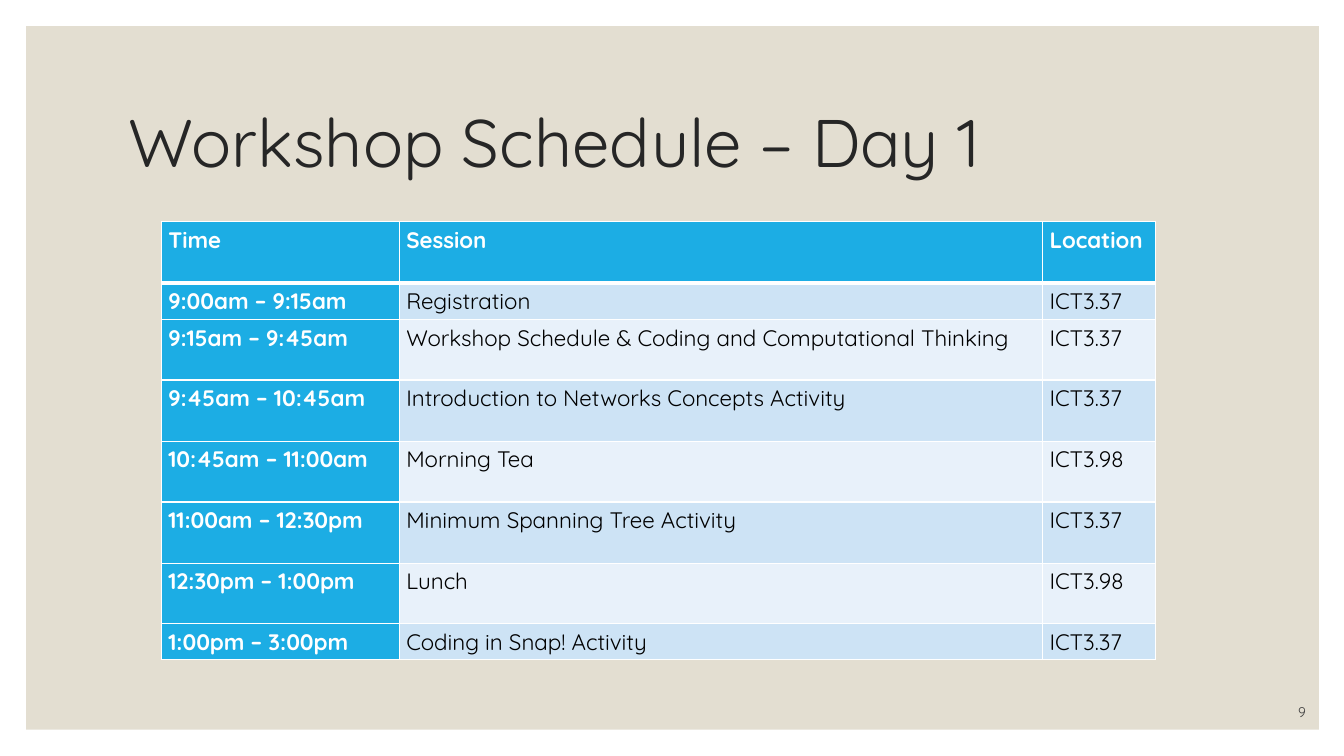
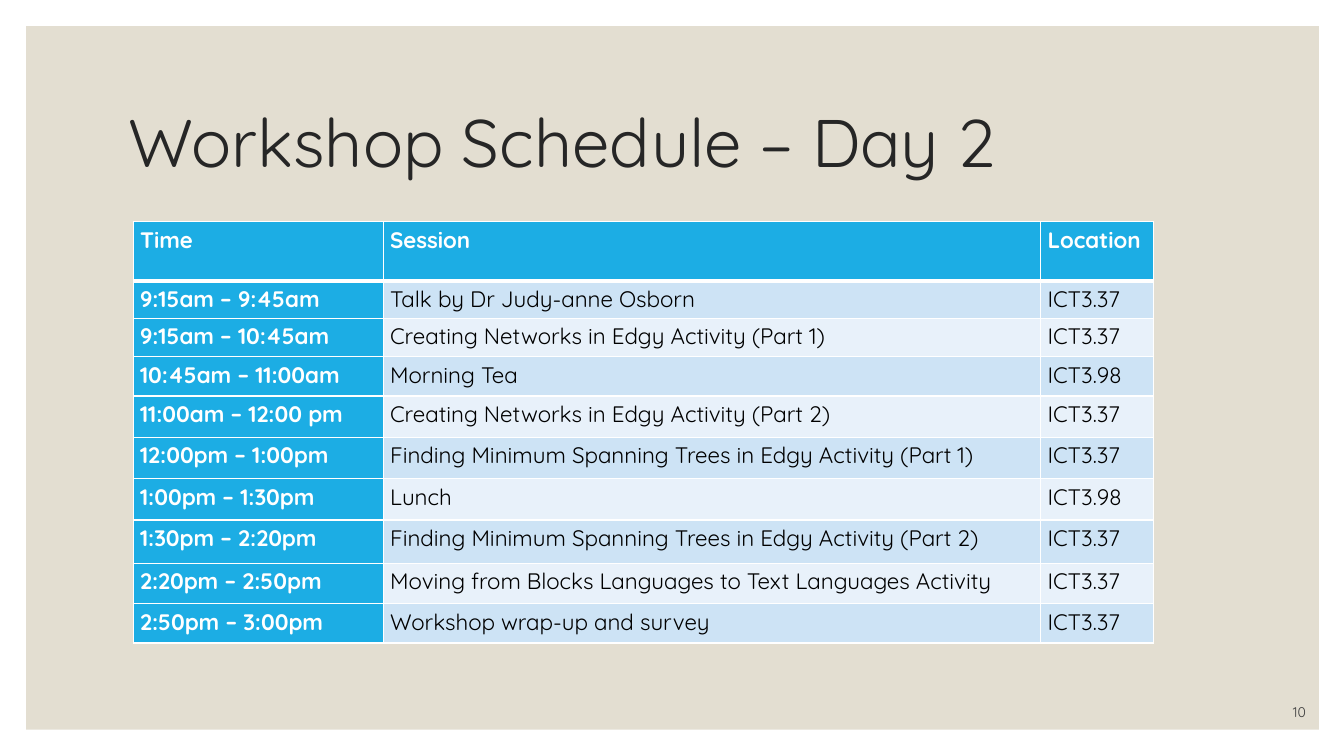
from lxml import etree
from pptx import Presentation
from pptx import util as u
from pptx.dml import color
from pptx.enum import shapes, text
from pptx.oxml import ns

PX = 9144  # EMU per px, 100 px to the inch
FONT = "Quicksand"
WHITE, BLACK = "FFFFFF", "000000"
SAND, TITLE_INK, NUMBER_INK = "E3DED1", "262626", "404040"
ACCENT = "1CADE4"
BANDS = ("CDE3F5", "E8F1FA")

TABLE_TOP = 220
LOCATION_WIDTH = 112
HEADINGS = ("Time", "Session", "Location")
CLASSROOM, BREAK_ROOM = "ICT3.37", "ICT3.98"

DAY_1 = [
    ("9:00am – 9:15am", "Registration", CLASSROOM),
    ("9:15am – 9:45am", "Workshop Schedule & Coding and Computational Thinking", CLASSROOM),
    ("9:45am – 10:45am", "Introduction to Networks Concepts Activity", CLASSROOM),
    ("10:45am – 11:00am", "Morning Tea", BREAK_ROOM),
    ("11:00am – 12:30pm", "Minimum Spanning Tree Activity", CLASSROOM),
    ("12:30pm – 1:00pm", "Lunch", BREAK_ROOM),
    ("1:00pm – 3:00pm", "Coding in Snap! Activity", CLASSROOM),
]
DAY_2 = [
    ("9:15am – 9:45am", "Talk by Dr Judy-anne Osborn", CLASSROOM),
    ("9:15am – 10:45am", "Creating Networks in Edgy Activity (Part 1)", CLASSROOM),
    ("10:45am – 11:00am", "Morning Tea", BREAK_ROOM),
    ("11:00am – 12:00 pm", "Creating Networks in Edgy Activity (Part 2)", CLASSROOM),
    ("12:00pm – 1:00pm", "Finding Minimum Spanning Trees in Edgy Activity (Part 1)", CLASSROOM),
    ("1:00pm – 1:30pm", "Lunch", BREAK_ROOM),
    ("1:30pm – 2:20pm", "Finding Minimum Spanning Trees in Edgy Activity (Part 2)", CLASSROOM),
    ("2:20pm – 2:50pm", "Moving from Blocks Languages to Text Languages Activity", CLASSROOM),
    ("2:50pm – 3:00pm", "Workshop wrap-up and survey", CLASSROOM),
]


def px(*lengths):
    return [u.Emu(length * PX) for length in lengths]


def set_fill(fill, hex_color):
    fill.solid()
    fill.fore_color.rgb = color.RGBColor.from_string(hex_color)


def set_text(frame, content, size, hex_color, bold=False, spacing=1.0,
             align=text.PP_ALIGN.LEFT):
    frame.text = content
    paragraph = frame.paragraphs[0]
    paragraph.alignment = align
    paragraph.line_spacing = spacing
    font = paragraph.runs[0].font
    font.name, font.size, font.bold = FONT, u.Pt(size), bold
    font.color.rgb = color.RGBColor.from_string(hex_color)


# Parts shared by the slides
def add_panel(slide):
    panel = slide.shapes.add_shape(shapes.MSO_SHAPE.RECTANGLE, *px(26, 26, 1282, 698))
    panel.shadow.inherit = False
    set_fill(panel.fill, SAND)
    panel.line.fill.background()
    slide.shapes._spTree.insert(2, panel._element)  # behind the title


def format_title(slide, content):
    title = slide.shapes.title
    title.left, title.top, title.width, title.height = px(117, 70, 1100, 150)
    frame = title.text_frame
    frame.word_wrap = True
    frame.auto_size = text.MSO_AUTO_SIZE.NONE
    frame.vertical_anchor = text.MSO_ANCHOR.MIDDLE
    set_text(frame, content, 48, TITLE_INK, spacing=0.9)


def add_slide_number(slide, number):
    frame = slide.shapes.add_textbox(*px(1145, 690, 160, 30)).text_frame
    frame.word_wrap = True
    frame.vertical_anchor = text.MSO_ANCHOR.BOTTOM
    set_text(frame, str(number), 10, NUMBER_INK, align=text.PP_ALIGN.RIGHT)


# Schedule table
def set_borders(cell, top=1, bottom=1):
    properties = cell._tc.get_or_add_tcPr()
    for side, points in (("L", 1), ("R", 1), ("T", top), ("B", bottom)):
        line = etree.SubElement(properties, ns.qn(f"a:ln{side}"), w=str(u.Pt(points)))
        fill = etree.SubElement(line, ns.qn("a:solidFill"))
        etree.SubElement(fill, ns.qn("a:srgbClr"), val=WHITE)


def format_cell(cell, content, row, column):
    set_borders(cell, top=3 if row == 1 else 1, bottom=3 if row == 0 else 1)
    heading = row == 0 or column == 0
    set_fill(cell.fill, ACCENT if heading else BANDS[(row - 1) % 2])
    cell.margin_left, cell.margin_right, cell.margin_top, cell.margin_bottom = px(7, 7, 0, 0)
    set_text(cell.text_frame, content, 16, WHITE if heading else BLACK,
             bold=heading, spacing=1.15)


def add_schedule(slide, left, widths, heights, sessions):
    rows = [HEADINGS, *sessions]
    frame = slide.shapes.add_table(
        len(rows), len(widths), *px(left, TABLE_TOP, sum(widths), sum(heights)))
    table = frame.table
    for column, width in zip(table.columns, px(*widths)):
        column.width = width
    for row, height in zip(table.rows, px(*heights)):
        row.height = height
    for row, contents in enumerate(rows):
        for column, content in enumerate(contents):
            format_cell(table.cell(row, column), content, row, column)


def add_day(presentation, day, number, left, widths, heights, sessions):
    slide = presentation.slides.add_slide(presentation.slide_layouts[5])
    add_panel(slide)
    format_title(slide, f"Workshop Schedule – Day {day}")
    add_slide_number(slide, number)
    add_schedule(slide, left, (*widths, LOCATION_WIDTH), heights, sessions)


def main():
    presentation = Presentation()
    presentation.slide_width, presentation.slide_height = px(1333, 750)
    add_day(presentation, 1, 9, 160, (236, 638),
            (61, 36, 60, 61, 60, 61, 60, 35), DAY_1)
    add_day(presentation, 2, 10, 132, (248, 652),
            (59, 37, 38, 39, 41, 41, 41, 43, 40, 39), DAY_2)
    presentation.save("out.pptx")


if __name__ == "__main__":
    main()
